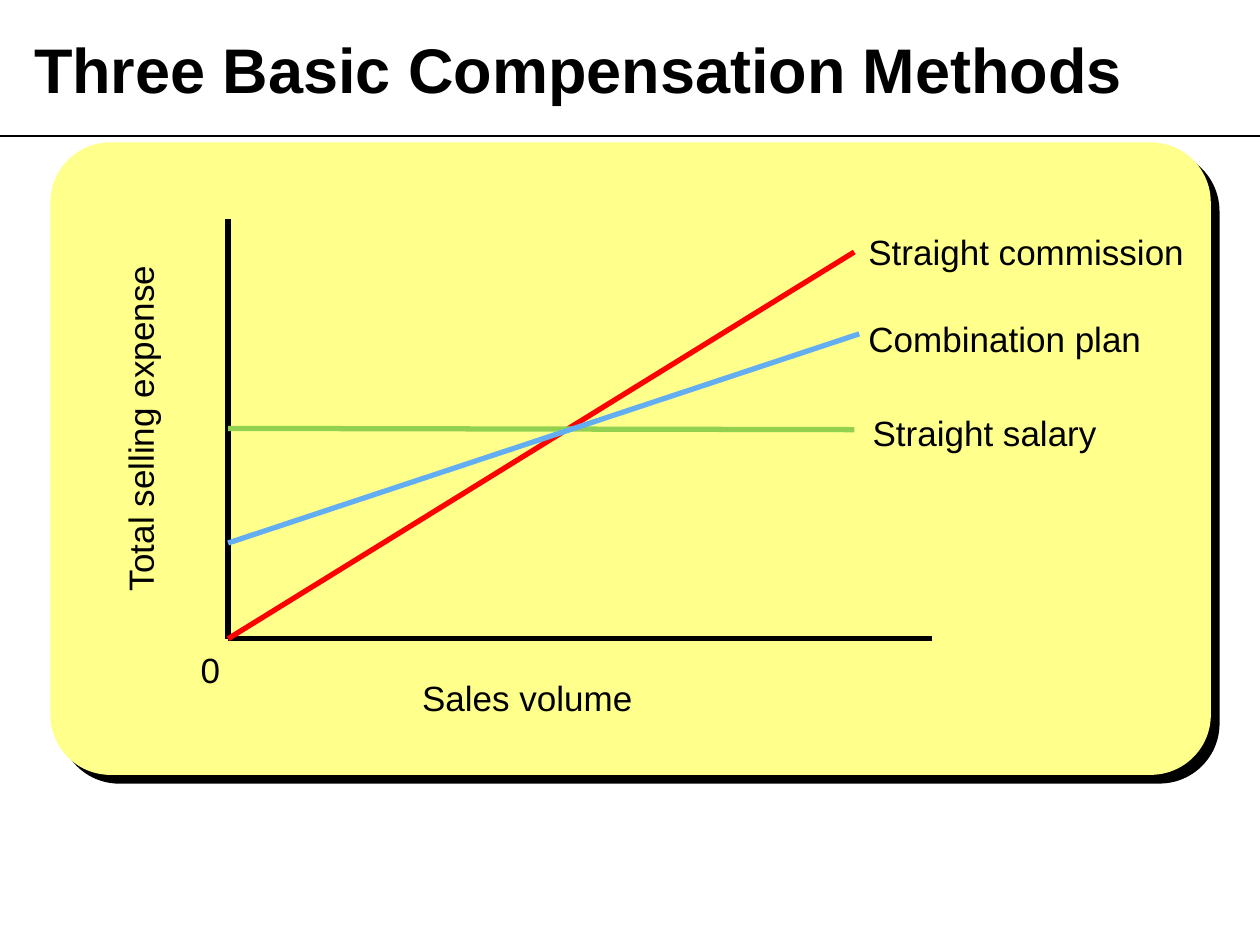
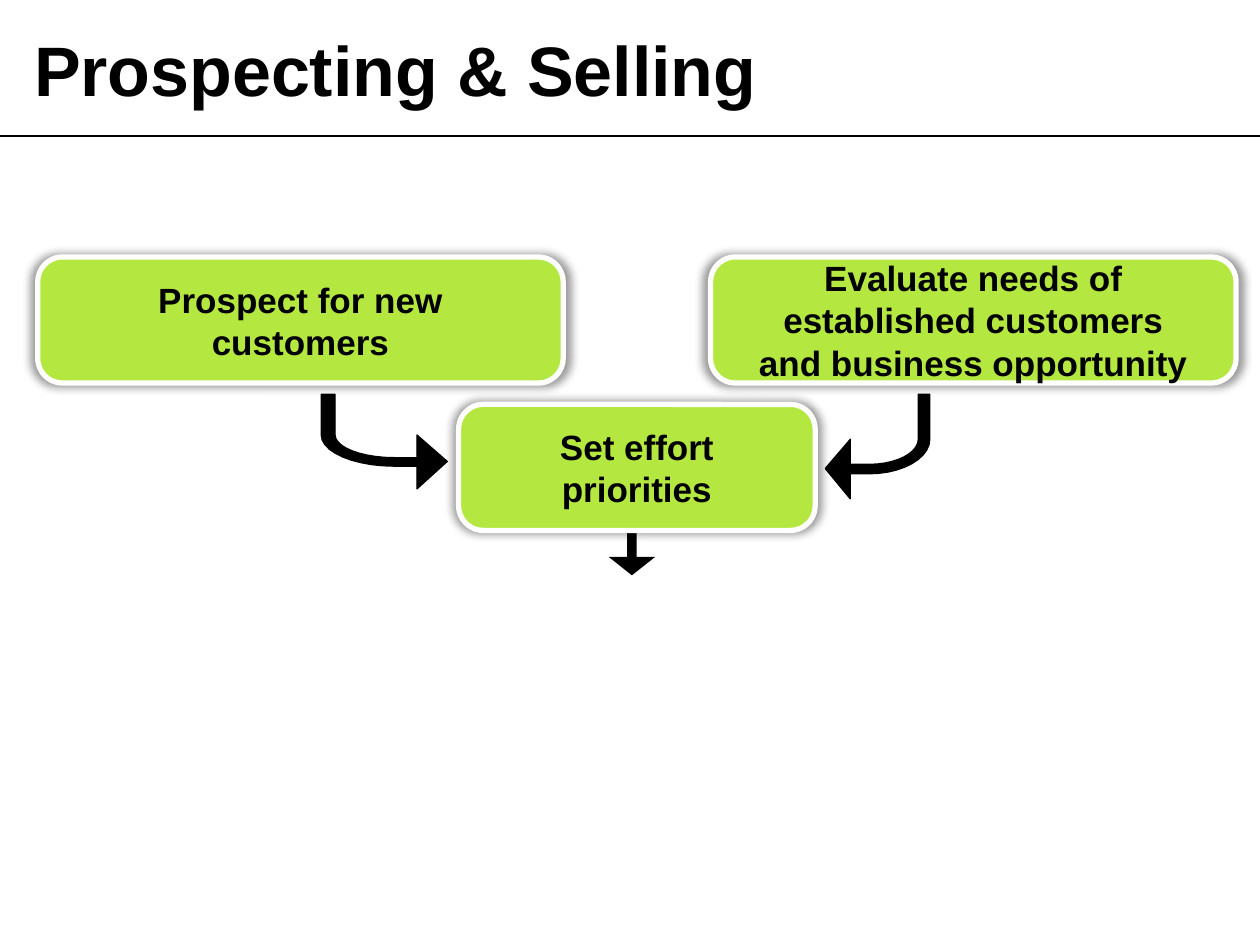
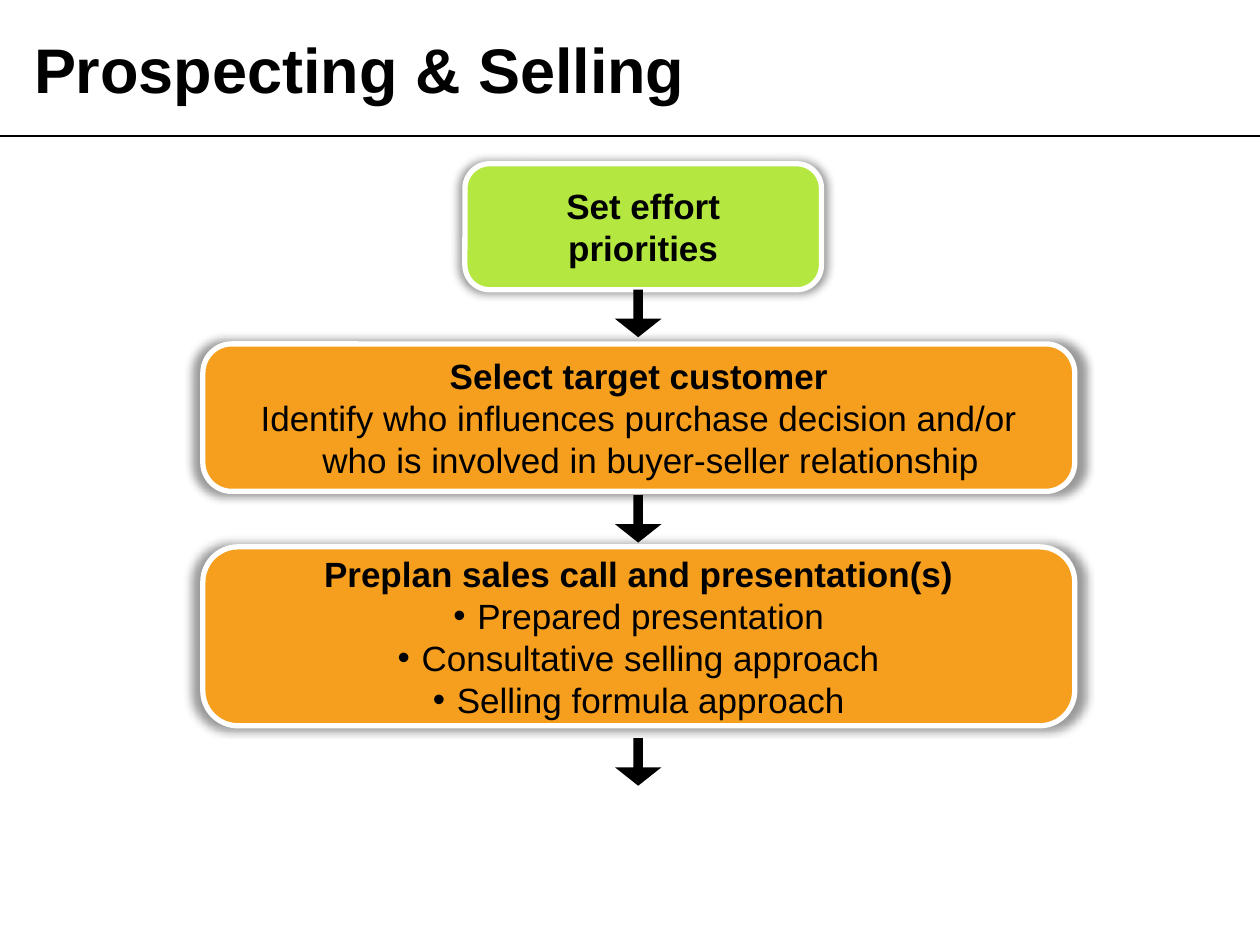
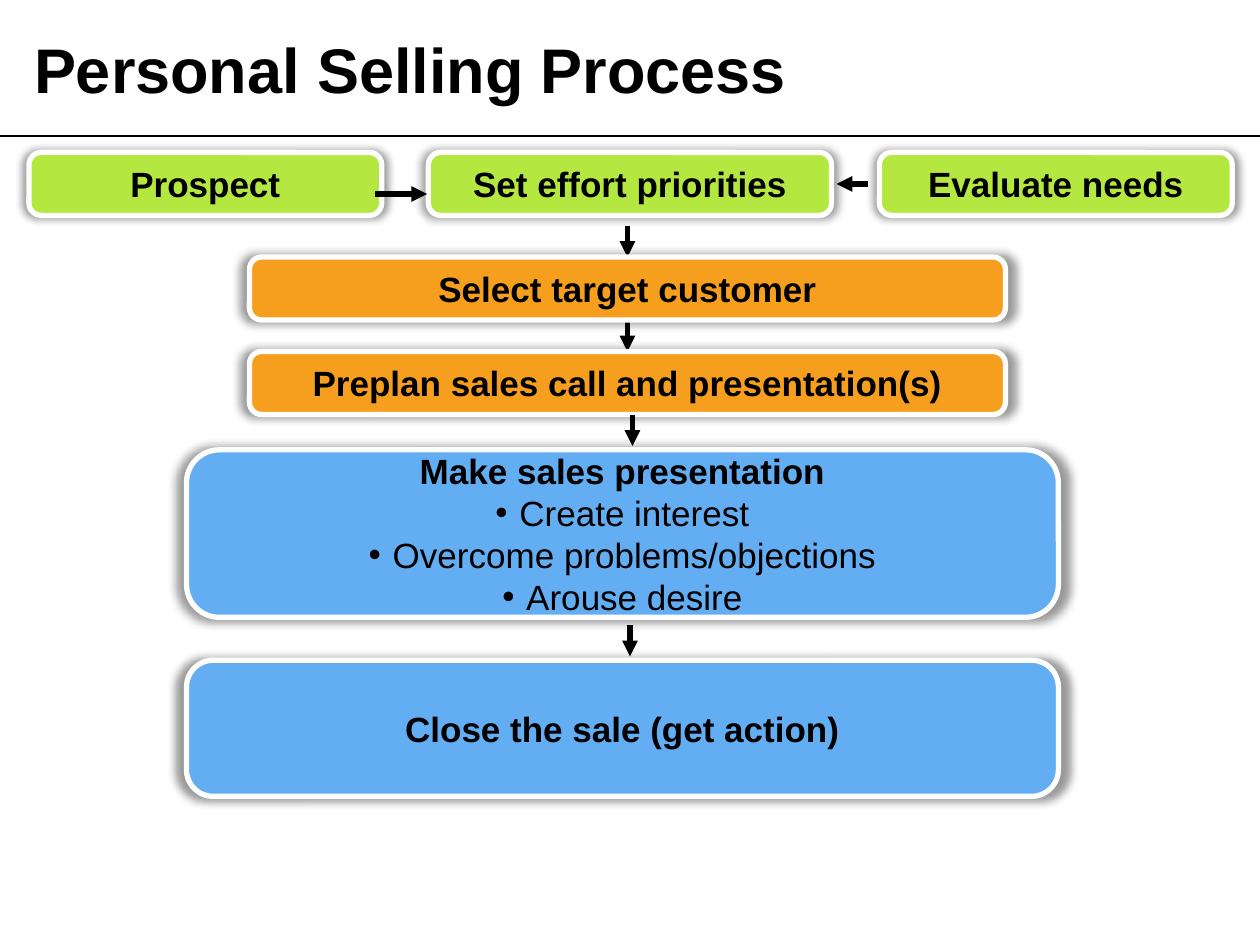
from lxml.etree import SubElement
from pptx import Presentation
from pptx.dml.color import RGBColor
from pptx.enum.shapes import MSO_CONNECTOR, MSO_SHAPE
from pptx.enum.text import MSO_ANCHOR, MSO_AUTO_SIZE, PP_ALIGN
from pptx.oxml.ns import qn
from pptx.util import Inches, Pt

SLIDE_WIDTH, SLIDE_HEIGHT = Inches(10), Inches(7.5)
COLUMN, ROW = SLIDE_WIDTH / 10, SLIDE_HEIGHT / 7.5
FONT = "Arial"
BLACK, WHITE = "000000", "FFFFFF"
GREEN, ORANGE, BLUE = "B4E840", "F69F1E", "63AEF3"
PANEL, RED, LEAF = "FFFF8B", "FF0000", "92D050"
BULLET_INDENT = Inches(0.19)
TOP, BOTTOM = 0, 2


def color(hex_code):
    return RGBColor.from_string(hex_code)


def grid(*lengths):
    return [round(n * (ROW if i % 2 else COLUMN)) for i, n in enumerate(lengths)]


def style_font(paragraph, size, bold=False):
    font = paragraph.font
    font.name, font.size, font.bold = FONT, Pt(size), bold
    font.color.rgb = color(BLACK)


def paint(shape, fill, line=None, width=3):
    shape.shadow.inherit = False
    shape.fill.solid()
    shape.fill.fore_color.rgb = color(fill)
    if line:
        shape.line.color.rgb = color(line)
        shape.line.width = Pt(width)
    else:
        shape.line.fill.background()


def cast_shadow(shape, opacity, **settings):
    effects = shape._element.spPr.find(qn("a:effectLst"))
    shadow = SubElement(effects, qn("a:outerShdw"), rotWithShape="0",
                        **{name: str(value) for name, value in settings.items()})
    tone = SubElement(shadow, qn("a:srgbClr"), val=BLACK)
    SubElement(tone, qn("a:alpha"), val=str(opacity * 1000))


def add_line(shapes, start, end, tone=BLACK, width=3, arrow=False):
    line = shapes.add_connector(MSO_CONNECTOR.STRAIGHT, *grid(*start), *grid(*end))
    line.line.color.rgb = color(tone)
    line.line.width = Pt(width)
    properties = line._element.spPr
    if arrow:
        SubElement(properties.find(qn("a:ln")), qn("a:tailEnd"), type="triangle")
    SubElement(properties, qn("a:effectLst"))
    return line


def add_label(shapes, text, place, rotation=0):
    label = shapes.add_textbox(*grid(*place))
    label.rotation = rotation
    frame = label.text_frame
    frame.word_wrap = False
    frame.auto_size = MSO_AUTO_SIZE.SHAPE_TO_FIT_TEXT
    paragraph = frame.paragraphs[0]
    paragraph.text = text
    paragraph.alignment = PP_ALIGN.CENTER
    style_font(paragraph, 20)


def indent(paragraph, bulleted):
    properties = paragraph._p.get_or_add_pPr()
    properties.set("marL", str(BULLET_INDENT))
    properties.set("indent", str(-BULLET_INDENT))
    if bulleted:
        SubElement(properties, qn("a:buFont"), typeface=FONT)
        SubElement(properties, qn("a:buChar"), char="•")


def add_step(slide, place, fill, heading, details=(), bulleted=True):
    step = slide.shapes.add_shape(MSO_SHAPE.ROUNDED_RECTANGLE, *grid(*place))
    step.adjustments[0] = 0.196
    paint(step, fill, WHITE)
    cast_shadow(step, 40, blurRad=Pt(5), sx=102000, sy=102000, algn="ctr")
    frame = step.text_frame
    frame.word_wrap = True
    frame.vertical_anchor = MSO_ANCHOR.MIDDLE
    frame.margin_left = frame.margin_right = Inches(0.3)
    frame.margin_top = frame.margin_bottom = Inches(0.05)
    for number, text in enumerate((heading, *details)):
        paragraph = frame.add_paragraph() if number else frame.paragraphs[0]
        paragraph.text = text
        paragraph.alignment = PP_ALIGN.CENTER
        if fill != GREEN:
            indent(paragraph, bulleted and number > 0)
        style_font(paragraph, 20, bold=number == 0)
    return step


def add_down_arrow(slide, left, top):
    arrow = slide.shapes.add_shape(MSO_SHAPE.DOWN_ARROW, *grid(left, top, 0.25, 0.33))
    arrow.adjustments[0], arrow.adjustments[1] = 0.139, 0.396
    paint(arrow, BLACK, BLACK)
    SubElement(arrow._element.spPr.find(qn("a:ln")), qn("a:miter"), lim="800000")


def curve(a, b, c, d, steps=10):
    for t in (i / steps for i in range(steps + 1)):
        u = 1 - t
        weights = u ** 3, 3 * u * u * t, 3 * u * t * t, t ** 3
        yield tuple(sum(w * p[axis] for w, p in zip(weights, (a, b, c, d)))
                    for axis in (0, 1))


def add_bent_arrow(slide, place, mirrored=False):
    left, top, width, height = place
    outline = [
        (1, 0.71), (0.76, 1), (0.76, 0.76),
        *curve((0.58, 0.76), (0.26, 0.76), (0, 0.61), (0, 0.43)),
        (0, 0), (0.11, 0),
        *curve((0.11, 0.43), (0.11, 0.56), (0.32, 0.67), (0.58, 0.67)),
        (0.76, 0.67), (0.76, 0.43),
    ]
    points = [grid(left + width * (1 - x if mirrored else x), top + height * y)
              for x, y in outline]
    builder = slide.shapes.build_freeform(*points[0])
    builder.add_line_segments(points[1:], close=True)
    paint(builder.convert_to_shape(), BLACK, BLACK, 0.75)


def add_titled_slide(deck, title, size=36):
    slide = deck.slides.add_slide(deck.slide_layouts[5])
    slide.shapes.title.text = title
    paragraph = slide.shapes.title.text_frame.paragraphs[0]
    paragraph.alignment = PP_ALIGN.LEFT
    style_font(paragraph, size, bold=True)
    return slide


def prepare_layout(deck, slide):
    layout = deck.slide_layouts[5]
    heading = layout.placeholders[0]
    heading.left, heading.top, heading.width, heading.height = grid(0.17, 0.08, 9.67, 0.92)
    heading.text_frame.vertical_anchor = MSO_ANCHOR.MIDDLE
    rule = add_line(slide.shapes, (0, 1.08), (10, 1.08), width=0.75)
    layout.shapes._spTree.append(rule._element)


def draw_compensation(slide):
    panel = slide.shapes.add_shape(MSO_SHAPE.ROUNDED_RECTANGLE,
                                   *grid(0.4, 1.13, 9.21, 5.02))
    panel.adjustments[0] = 0.095
    paint(panel, PANEL)
    cast_shadow(panel, 100, dist=Pt(7.1), dir=45 * 60000, algn="ctr")
    origin = (1.81, 5.07)
    add_line(slide.shapes, (1.81, 1.74), origin)
    add_line(slide.shapes, (7.4, 5.07), origin)
    add_label(slide.shapes, "Total selling expense", (-0.29, 3.18, 2.81, 0.44), 270)
    add_label(slide.shapes, "Sales volume", (3.24, 5.32, 1.89, 0.44))
    add_label(slide.shapes, "0", (1.49, 5.1, 0.36, 0.44))
    methods = [
        ("Straight commission", (6.78, 1.78, 2.73, 0.44), origin, (6.78, 2), RED),
        ("Straight salary", (6.82, 3.22, 1.99, 0.44), (1.81, 3.4), (6.78, 3.41), LEAF),
        ("Combination plan", (6.78, 2.47, 2.39, 0.44), (1.81, 4.31), (6.82, 2.65), BLUE),
    ]
    for name, place, start, end, tone in methods:
        method = slide.shapes.add_group_shape().shapes
        add_label(method, name, place)
        add_line(method, start, end, tone)


def draw_prospecting(slide):
    add_bent_arrow(slide, (6.55, 3.13, 0.83, 0.83), mirrored=True)
    add_bent_arrow(slide, (2.55, 3.13, 1, 0.75))
    add_step(slide, (0.3, 2.04, 4.17, 1), GREEN, "Prospect for new customers")
    add_step(slide, (5.64, 2.04, 4.17, 1), GREEN,
             "Evaluate needs of established customers and business opportunity")
    add_down_arrow(slide, 4.89, 4.21)
    add_step(slide, (3.64, 3.21, 2.83, 1), GREEN, "Set effort priorities")


def draw_planning(slide):
    add_step(slide, (1.61, 4.34, 6.92, 1.42), ORANGE,
             "Preplan sales call and presentation(s)",
             ["Prepared presentation", "Consultative selling approach",
              "Selling formula approach"])
    add_step(slide, (3.69, 1.3, 2.83, 1), GREEN, "Set effort priorities")
    add_step(slide, (1.61, 2.73, 6.92, 1.17), ORANGE, "Select target customer",
             ["Identify who influences purchase decision and/or "
              "who is involved in buyer-seller relationship"], bulleted=False)
    for top in (2.32, 3.95, 5.88):
        add_down_arrow(slide, 4.94, top)


def draw_process(slide):
    to_target, to_preplan = [
        add_line(slide.shapes, (4.98, top), (4.98, top + 0.25), arrow=True)
        for top in (1.79, 2.54)]
    for left, width, heading in [(6.98, 2.8, "Evaluate needs"),
                                 (3.4, 3.2, "Set effort priorities"),
                                 (0.23, 2.8, "Prospect")]:
        add_step(slide, (left, 1.21, width, 0.5), GREEN, heading)
    target, preplan = [
        add_step(slide, (1.98, top, 6, 0.5), ORANGE, heading)
        for top, heading in [(2.04, "Select target customer"),
                             (2.79, "Preplan sales call and presentation(s)")]]
    to_target.end_connect(target, TOP)
    to_preplan.begin_connect(target, BOTTOM)
    to_preplan.end_connect(preplan, TOP)
    add_step(slide, (1.48, 5.24, 6.92, 1.08), BLUE, "Close the sale (get action)")
    add_step(slide, (1.48, 3.57, 6.92, 1.33), BLUE, "Make sales presentation",
             ["Create interest", "Overcome problems/objections", "Arouse desire"])
    for start, end in [((2.98, 1.54), (3.39, 1.54)), ((6.89, 1.46), (6.64, 1.46)),
                       ((5.02, 3.29), (5.02, 3.54)), ((5, 4.96), (5, 5.21))]:
        add_line(slide.shapes, start, end, arrow=True)


def main():
    deck = Presentation()
    deck.slide_width, deck.slide_height = SLIDE_WIDTH, SLIDE_HEIGHT
    compensation = add_titled_slide(deck, "Three Basic Compensation Methods")
    prepare_layout(deck, compensation)
    draw_compensation(compensation)
    draw_prospecting(add_titled_slide(deck, "Prospecting & Selling", 40))
    draw_planning(add_titled_slide(deck, "Prospecting & Selling"))
    draw_process(add_titled_slide(deck, "Personal Selling Process"))
    deck.save("out.pptx")


if __name__ == "__main__":
    main()
